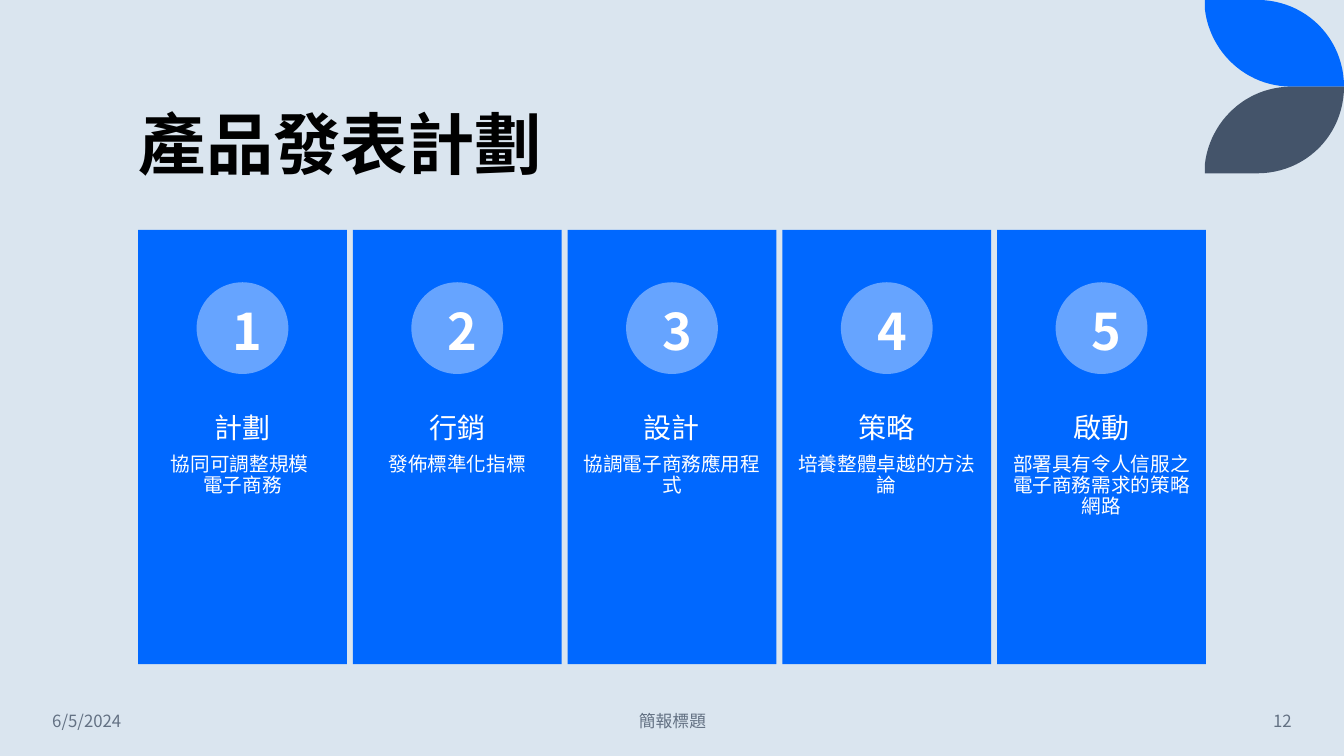
"""Build the product launch plan slide with five numbered stage cards."""
from dataclasses import dataclass

from lxml import etree
from pptx import Presentation
from pptx.dml.color import RGBColor
from pptx.enum.shapes import MSO_SHAPE
from pptx.enum.text import MSO_ANCHOR, PP_ALIGN
from pptx.oxml.ns import qn
from pptx.shapes.autoshape import Shape
from pptx.slide import Slide
from pptx.util import Inches, Pt

RECTANGLE, OVAL = MSO_SHAPE.RECTANGLE, MSO_SHAPE.OVAL
LEFT, CENTER, RIGHT = PP_ALIGN.LEFT, PP_ALIGN.CENTER, PP_ALIGN.RIGHT
TOP, MIDDLE, BOTTOM = MSO_ANCHOR.TOP, MSO_ANCHOR.MIDDLE, MSO_ANCHOR.BOTTOM


@dataclass(frozen=True)
class Theme:
    background: str = "DAE5EF"
    blue: str = "0068FF"
    pale_blue: str = "66A4FF"
    slate: str = "44546A"
    black: str = "000000"
    white: str = "FFFFFF"
    footer: str = "637183"
    heading_font: str = "Noto Sans CJK TC"
    card_font: str = "Arial"
    title_size: int = 48
    number_size: int = 36
    stage_size: int = 20
    detail_size: int = 14
    footer_size: int = 12


@dataclass(frozen=True)
class Area:
    left: float
    top: float
    width: float
    height: float

    def lengths(self) -> list[Inches]:
        return [Inches(value) for value in (self.left, self.top, self.width, self.height)]


@dataclass(frozen=True)
class Line:
    text: str
    size: int
    color: str
    font: str
    bold: bool = False
    align: PP_ALIGN = LEFT
    spacing: float = 1.0
    after: int = 0


@dataclass(frozen=True)
class Stage:
    name: str
    detail: str


@dataclass(frozen=True)
class Footer:
    text: str
    left: float
    width: float
    align: PP_ALIGN


THEME = Theme()
STAGES = [
    Stage("計劃", "協同可調整規模 \n電子商務"),
    Stage("行銷", "發佈標準化指標"),
    Stage("設計", "協調電子商務應用程式"),
    Stage("策略", "培養整體卓越的方法論"),
    Stage("啟動", "部署具有令人信服之電子商務需求的策略網路"),
]
FOOTERS = [
    Footer("6/5/2024", 0.42, 1.86, LEFT),
    Footer("簡報標題", 4.42, 4.5, CENTER),
    Footer("12", 11.1, 1.81, RIGHT),
]
CARD_LEFT, CARD_PITCH, CARD_WIDTH = 1.37, 2.13, 2.07
LEAF_LEFT, LEAF_HEIGHT = 11.95, 0.86
LEAF_CURVES = [
    [(0.52, 0), (1.0, 0), (1.38, 0.38), (1.38, 0.86)],
    [(0.86, 0.86), (0.41, 0.86), (0.05, 0.52), (0, 0.09)],
]
CURVE_STEPS = 24


def paint(shape: Shape, color: str) -> None:
    shape.shadow.inherit = False
    shape.fill.solid()
    shape.fill.fore_color.rgb = RGBColor.from_string(color)
    shape.line.fill.background()


def curve_points(controls: list[tuple[float, float]]) -> list[tuple[float, float]]:
    points = []
    for step in range(CURVE_STEPS + 1):
        t = step / CURVE_STEPS
        weights = ((1 - t) ** 3, 3 * t * (1 - t) ** 2, 3 * t * t * (1 - t), t ** 3)
        points.append(tuple(sum(w * c[axis] for w, c in zip(weights, controls)) for axis in (0, 1)))
    return points


def add_leaf(page: Slide, base: float, direction: int, color: str) -> None:
    outline = [(0, 0)] + [point for curve in LEAF_CURVES for point in curve_points(curve)]
    points = [(Inches(LEAF_LEFT + x), Inches(base + direction * y)) for x, y in outline]
    builder = page.shapes.build_freeform(*points[0])
    builder.add_line_segments(points[1:], close=True)
    paint(builder.convert_to_shape(), color)


def add_shape(page: Slide, kind: MSO_SHAPE, area: Area, color: str) -> None:
    paint(page.shapes.add_shape(kind, *area.lengths()), color)


def add_text(page: Slide, area: Area, lines: list[Line], anchor: MSO_ANCHOR = TOP,
             inset: float | None = None) -> None:
    box = page.shapes.add_textbox(*area.lengths())
    frame = box.text_frame
    frame.word_wrap = True
    frame.vertical_anchor = anchor
    if inset is not None:
        frame.margin_left = frame.margin_right = Inches(inset)
        frame.margin_top = frame.margin_bottom = Inches(inset)
    for index, line in enumerate(lines):
        para = frame.add_paragraph() if index else frame.paragraphs[0]
        para.text = line.text
        para.alignment = line.align
        para.line_spacing = line.spacing
        para.space_after = Pt(line.after)
        for span in para.runs:
            span.font.size = Pt(line.size)
            span.font.bold = line.bold
            span.font.name = line.font
            span.font.color.rgb = RGBColor.from_string(line.color)
            properties = span._r.get_or_add_rPr()
            properties.set("lang", "zh-TW")
            east_asian = etree.Element(qn("a:ea"), typeface=line.font)
            properties.find(qn("a:latin")).addnext(east_asian)


def add_card(page: Slide, index: int, stage: Stage) -> None:
    left = CARD_LEFT + index * CARD_PITCH
    add_shape(page, RECTANGLE, Area(left, 2.28, CARD_WIDTH, 4.31), THEME.blue)
    add_text(page, Area(left, 4, CARD_WIDTH, 1.72), [
        Line(stage.name, THEME.stage_size, THEME.white, THEME.card_font,
             align=CENTER, spacing=0.9, after=7),
        Line(stage.detail, THEME.detail_size, THEME.white, THEME.card_font,
             align=CENTER, spacing=0.9, after=2),
    ], inset=0.11)
    add_shape(page, OVAL, Area(left + 0.58, 2.8, 0.91, 0.91), THEME.pale_blue)
    add_text(page, Area(left + 0.84, 2.93, 0.38, 0.71), [
        Line(str(index + 1), THEME.number_size, THEME.white, THEME.heading_font,
             bold=True, align=CENTER),
    ])


def main() -> None:
    deck = Presentation()
    deck.slide_width, deck.slide_height = Inches(13.33), Inches(7.5)
    page = deck.slides.add_slide(deck.slide_layouts[6])
    page.background.fill.solid()
    page.background.fill.fore_color.rgb = RGBColor.from_string(THEME.background)
    add_leaf(page, 0, 1, THEME.blue)
    add_leaf(page, 2 * LEAF_HEIGHT, -1, THEME.slate)
    add_text(page, Area(1.28, 0.42, 10.69, 1.45), [
        Line("產品發表計劃", THEME.title_size, THEME.black, THEME.heading_font,
             bold=True, spacing=0.9),
    ], anchor=BOTTOM)
    for index, stage in enumerate(STAGES):
        add_card(page, index, stage)
    for footer in FOOTERS:
        add_text(page, Area(footer.left, 6.95, footer.width, 0.4), [
            Line(footer.text, THEME.footer_size, THEME.footer, THEME.heading_font,
                 align=footer.align),
        ], anchor=MIDDLE)
    deck.save("out.pptx")


if __name__ == "__main__":
    main()
